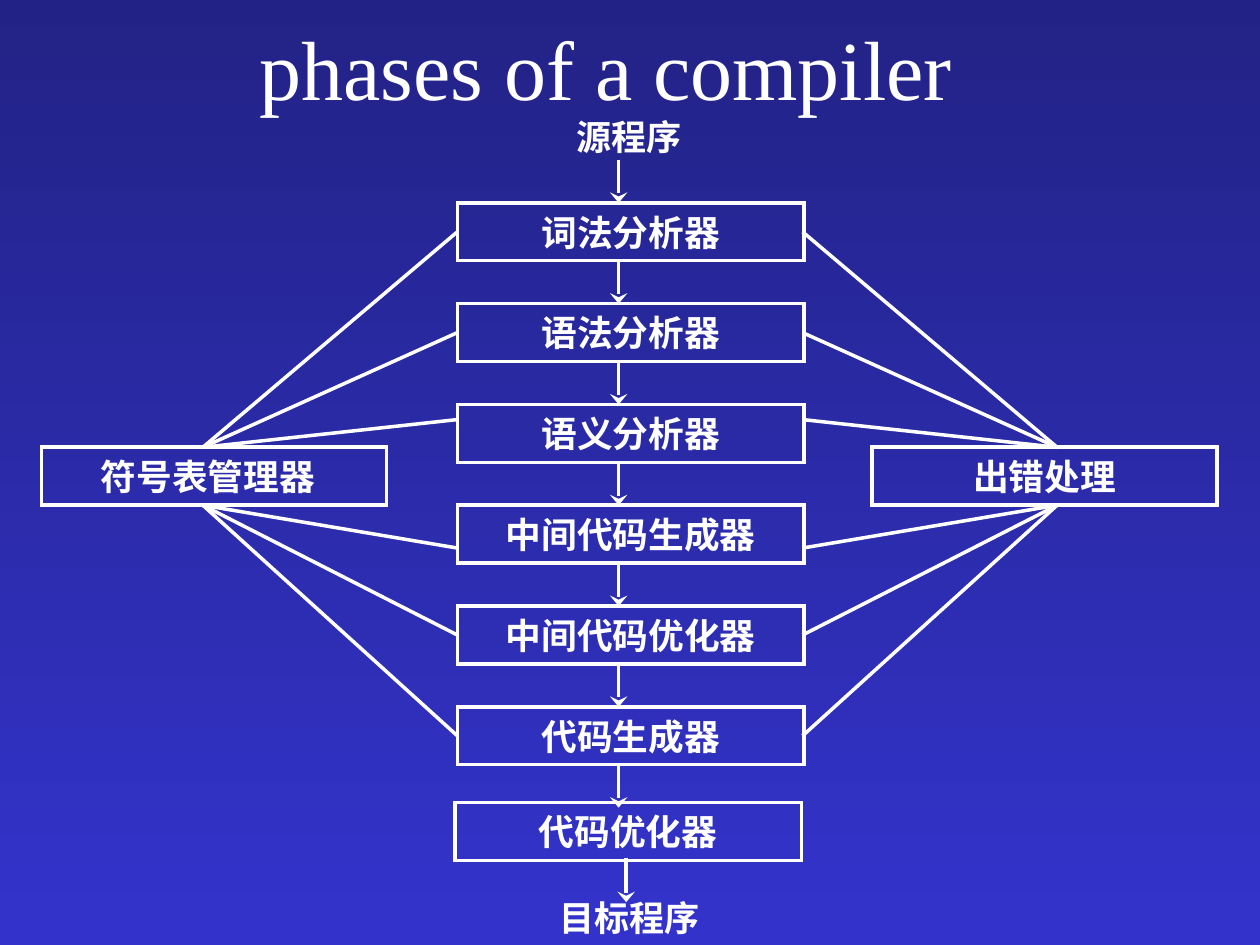
import pptx
import pptx.util
import pptx.dml.color
import pptx.enum.shapes
import pptx.enum.text
import pptx.oxml.ns
import lxml.etree
from dataclasses import dataclass

Inches = pptx.util.Inches
qn = pptx.oxml.ns.qn


@dataclass(frozen=True)
class Theme:
    font: str = "Times New Roman"
    ink: str = "FFFFFF"
    top: str = "222286"
    bottom: str = "3333CC"
    title: float = 48
    node: float = 20.4
    label: float = 20
    stroke: float = 2


THEME = Theme()
TITLE = ("phases of a compiler", 0.56, -0.09, 8.5, 1.25)
LABELS = [("源程序", 4.48, 0.86, 1.03, 0.44), ("目标程序", 4.34, 7.06, 1.31, 0.44)]
PHASES = ["词法分析器", "语法分析器", "语义分析器", "中间代码生成器", "中间代码优化器", "代码生成器"]
FINAL_PHASE = ("代码优化器", 3.61, 6.37)
HELPERS = [
    {"text": "符号表管理器", "left": 0.33, "margin": 0.2, "hub": 1.61, "edge": 3.63},
    {"text": "出错处理", "left": 6.92, "margin": 0.1, "hub": 8.39, "edge": 6.37},
]
UPPER_ENDS = [1.84, 2.64, 3.33]
LOWER_ENDS = [4.35, 5.04, 5.84]
PHASE_LEFT, PHASE_TOP, PHASE_STEP = 3.63, 1.61, 0.8
NODE_WIDTH, HELPER_WIDTH, NODE_HEIGHT = 2.75, 2.74, 0.46
HELPER_TOP = 3.55
ARROW_X, ARROW_LENGTH = 4.91, 0.34


def color(value):
    return pptx.dml.color.RGBColor.from_string(value)


def write(shape, text, size, bold):
    frame = shape.text_frame
    frame.vertical_anchor = pptx.enum.text.MSO_ANCHOR.MIDDLE
    para = frame.paragraphs[0]
    para.text = text
    para.alignment = pptx.enum.text.PP_ALIGN.CENTER
    para.font.name = THEME.font
    para.font.size = pptx.util.Pt(size)
    para.font.bold = bold
    para.font.color.rgb = color(THEME.ink)


def add_text(page, text, left, top, width, height, size, bold):
    box = page.shapes.add_textbox(*map(Inches, (left, top, width, height)))
    write(box, text, size, bold)
    return box.text_frame


def add_label(page, label):
    frame = add_text(page, *label, THEME.label, True)
    frame.word_wrap = False
    frame.auto_size = pptx.enum.text.MSO_AUTO_SIZE.SHAPE_TO_FIT_TEXT
    frame.margin_left = frame.margin_right = 0


def outline(shape):
    shape.line.color.rgb = color(THEME.ink)
    shape.line.width = pptx.util.Pt(THEME.stroke)
    stroke = shape.line._get_or_add_ln()
    lxml.etree.SubElement(stroke, qn("a:miter"), lim="800000")
    return stroke


def add_node(page, text, left, top, width=NODE_WIDTH, margin=0.1):
    node = page.shapes.add_shape(
        pptx.enum.shapes.MSO_SHAPE.RECTANGLE, *map(Inches, (left, top, width, NODE_HEIGHT))
    )
    node.shadow.inherit = False
    node.fill.background()
    outline(node)
    node.text_frame.margin_right = Inches(margin)
    write(node, text, THEME.node, True)


def add_line(page, start, end, arrow=False):
    line = page.shapes.add_connector(
        pptx.enum.shapes.MSO_CONNECTOR.STRAIGHT, *map(Inches, (*start, *end))
    )
    stroke = outline(line)
    if arrow:
        lxml.etree.SubElement(stroke, qn("a:tailEnd"), type="stealth", w="lg", len="med")
    lxml.etree.SubElement(line._element.spPr, qn("a:effectLst"))


def main():
    deck = pptx.Presentation()
    deck.slide_width, deck.slide_height = Inches(10), Inches(7.5)
    page = deck.slides.add_slide(deck.slide_layouts[6])

    fill = page.background.fill
    fill.gradient()
    fill.gradient_angle = 270
    for stop, value in zip(fill.gradient_stops, (THEME.top, THEME.bottom)):
        stop.color.rgb = color(value)

    for row, text in enumerate(PHASES):
        add_node(page, text, PHASE_LEFT, PHASE_TOP + row * PHASE_STEP)
    for row in range(len(PHASES) + 1):
        tip = PHASE_TOP + row * PHASE_STEP
        add_line(page, (ARROW_X, tip - ARROW_LENGTH), (ARROW_X, tip), arrow=True)

    for helper in HELPERS:
        add_node(page, helper["text"], helper["left"], HELPER_TOP, HELPER_WIDTH, helper["margin"])
        for hub_y, ends in ((HELPER_TOP, UPPER_ENDS), (HELPER_TOP + NODE_HEIGHT, LOWER_ENDS)):
            for end_y in ends:
                add_line(page, (helper["hub"], hub_y), (helper["edge"], end_y))

    add_node(page, *FINAL_PHASE)
    add_line(page, (4.97, 6.81), (4.97, 7.16), arrow=True)

    add_text(page, *TITLE, THEME.title, False).word_wrap = True
    for label in LABELS:
        add_label(page, label)

    deck.save("out.pptx")


if __name__ == "__main__":
    main()
